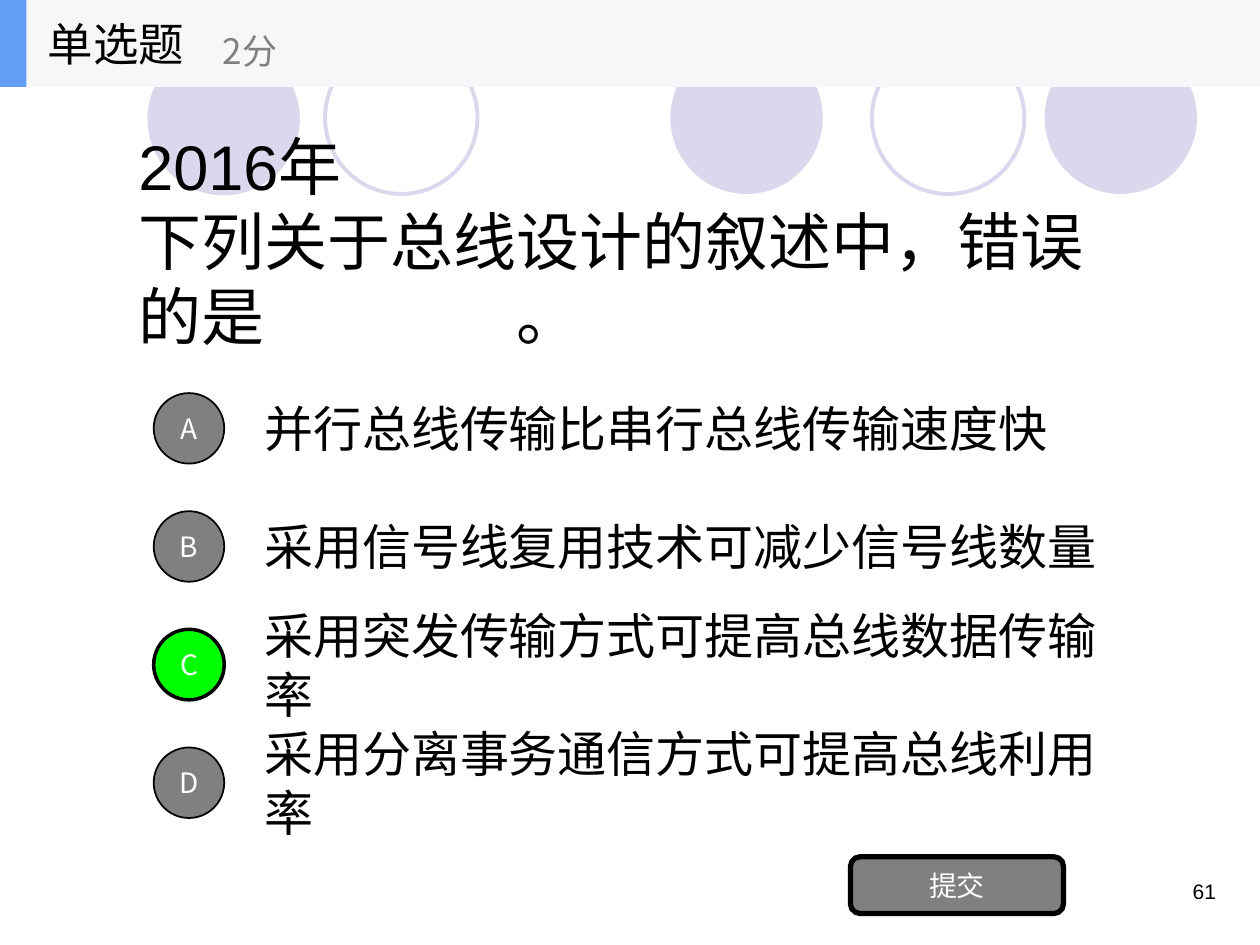
from lxml.etree import SubElement
from pptx import Presentation
from pptx.dml.color import RGBColor
from pptx.enum.shapes import MSO_SHAPE
from pptx.enum.text import MSO_ANCHOR, PP_ALIGN
from pptx.oxml.ns import qn
from pptx.util import Inches, Pt

COLORS = {
    "black": "000000", "white": "FFFFFF", "gray": "808080", "green": "00FF00",
    "lilac": "D9D8EC", "band": "F6F7F8", "accent": "639EF4",
}
SANS, CJK = "Arial", "Noto Sans CJK SC"

# left, top, filled
CIRCLES = [(5.32, 0.33, True), (8.29, 0.33, True), (1.17, 0.34, True),
           (6.92, 0.33, False), (2.58, 0.33, False)]
QUESTION = [
    [("2016年", False)],
    [("下列关于总线设计的叙述中，错误的是", False), ("\t\t\t\t", True), ("。", False)],
]
OPTIONS = [
    ("A", "并行总线传输比串行总线传输速度快"),
    ("B", "采用信号线复用技术可减少信号线数量"),
    ("C", "采用突发传输方式可提高总线数据传输率"),
    ("D", "采用分离事务通信方式可提高总线利用率"),
]
ANSWER = "C"
OPTION_TOP, OPTION_STEP = 3.05, 0.9375
LINE_RATIO = 1.19

WHITE_LABEL = {"size": 16, "font": CJK, "color": "white", "align": PP_ALIGN.CENTER}


def rgb(name):
    """Return the named colour."""
    return RGBColor.from_string(COLORS[name])


def write(shape, lines, size, font, color, align=PP_ALIGN.LEFT,
          anchor=MSO_ANCHOR.MIDDLE, spacing=None):
    """Fill a shape with paragraphs made of (text, underlined) spans."""
    frame = shape.text_frame
    frame.word_wrap = True
    frame.vertical_anchor = anchor
    for index, spans in enumerate(lines):
        para = frame.paragraphs[0] if index == 0 else frame.add_paragraph()
        para.alignment = align
        if spacing:
            para.line_spacing = Pt(round(size * spacing, 1))
        for text, underlined in spans:
            span = para.add_run()
            span.text = text
            values = {"size": Pt(size), "name": font, "underline": underlined}
            for name, value in values.items():
                setattr(span.font, name, value)
            span.font.color.rgb = rgb(color)
            SubElement(span.font._element, qn("a:ea")).set("typeface", font)


def add_text(page, place, lines, **style):
    """Add a text box at left, top, width, height."""
    box = page.shapes.add_textbox(*map(Inches, place))
    write(box, lines, **style)


def add_figure(page, kind, place, fill=None, line=None, width=1):
    """Add a flat preset shape with optional fill and outline."""
    shape = page.shapes.add_shape(kind, *map(Inches, place))
    shape.shadow.inherit = False
    if fill:
        shape.fill.solid()
        shape.fill.fore_color.rgb = rgb(fill)
    else:
        shape.fill.background()
    if line:
        shape.line.color.rgb = rgb(line)
        shape.line.width = Pt(width)
    else:
        shape.line.fill.background()
    return shape


def add_option(page, index, letter, text):
    """Add one answer: its lettered circle and its wording."""
    top = OPTION_TOP + index * OPTION_STEP
    right = letter == ANSWER
    add_text(page, (2, top, 7, 0.7), [[(text, False)]], size=28, font=SANS,
             color="black", spacing=LINE_RATIO)
    badge = add_figure(page, MSO_SHAPE.OVAL, (1.22, top + 0.07, 0.56, 0.56),
                       "green" if right else "gray", "black", 2 if right else 1)
    write(badge, [[(letter, False)]], **WHITE_LABEL)


deck = Presentation()
deck.slide_width, deck.slide_height = Inches(10), Inches(7.5)
page = deck.slides.add_slide(deck.slide_layouts[6])

for left, top, filled in CIRCLES:
    colors = {"fill": "lilac"} if filled else {"line": "lilac", "width": 2.25}
    add_figure(page, MSO_SHAPE.OVAL, (left, top, 1.21, 1.21), **colors)

add_text(page, (7.42, 6.92, 2.33, 0.5), [[("61", False)]], size=12, font=SANS,
         color="black", align=PP_ALIGN.RIGHT, anchor=MSO_ANCHOR.TOP)
add_text(page, (1, 0.74, 8, 2.34), QUESTION, size=36, font=SANS, color="black",
         spacing=LINE_RATIO)

for index, (letter, text) in enumerate(OPTIONS):
    add_option(page, index, letter, text)

submit = add_figure(page, MSO_SHAPE.ROUNDED_RECTANGLE, (6.75, 6.8, 1.69, 0.45),
                    "gray", "black", 3)
write(submit, [[("提交", False)]], **WHITE_LABEL)

add_figure(page, MSO_SHAPE.RECTANGLE, (0, 0, 10, 0.69), "band")
add_figure(page, MSO_SHAPE.RECTANGLE, (0, 0, 0.21, 0.69), "accent")
add_text(page, (0.28, 0, 2.08, 0.69), [[("单选题", False)]], size=26, font=CJK,
         color="black")
add_text(page, (1.67, 0.12, 2.5, 0.56), [[("2分", False)]], size=20, font=CJK,
         color="gray")

deck.save("out.pptx")
